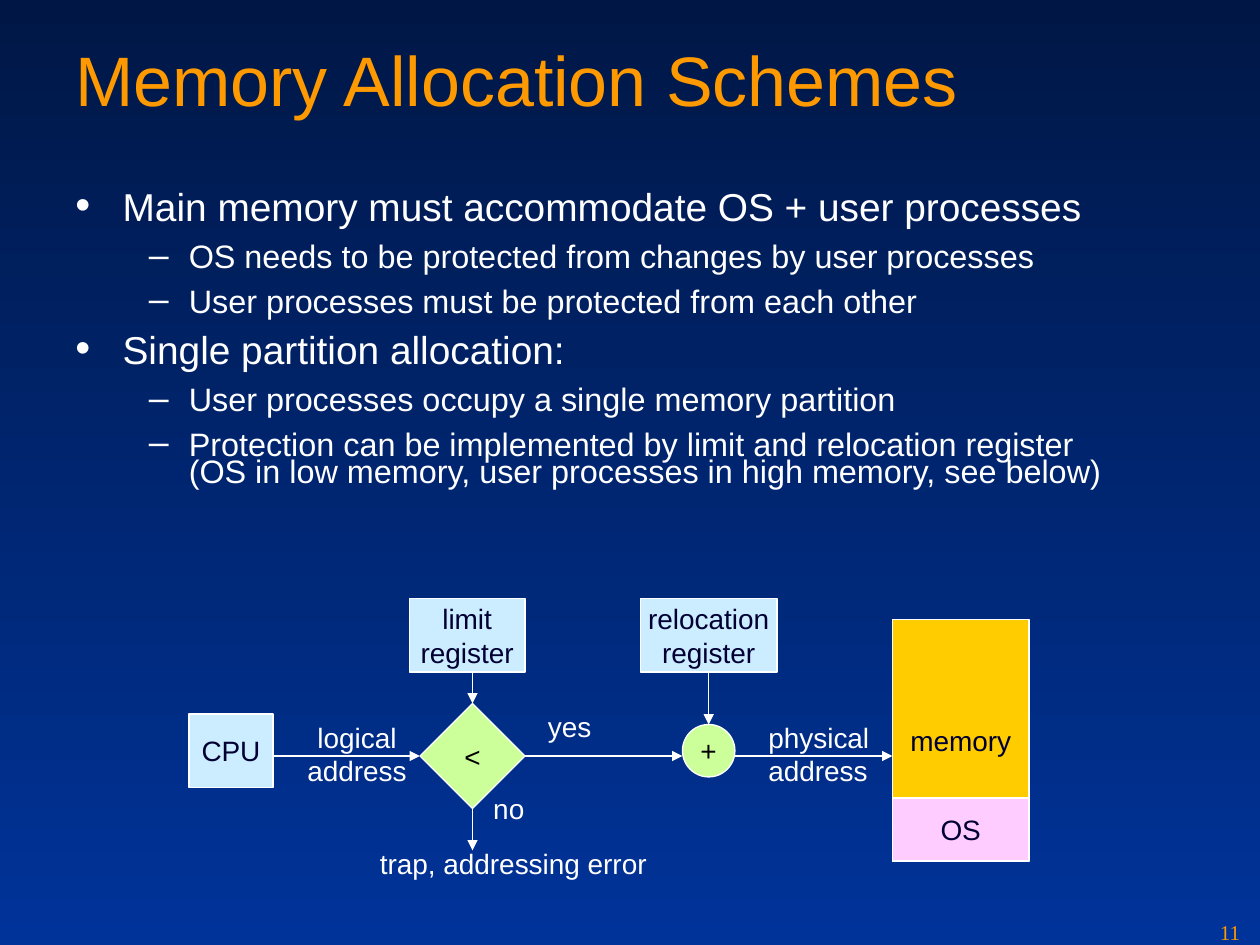
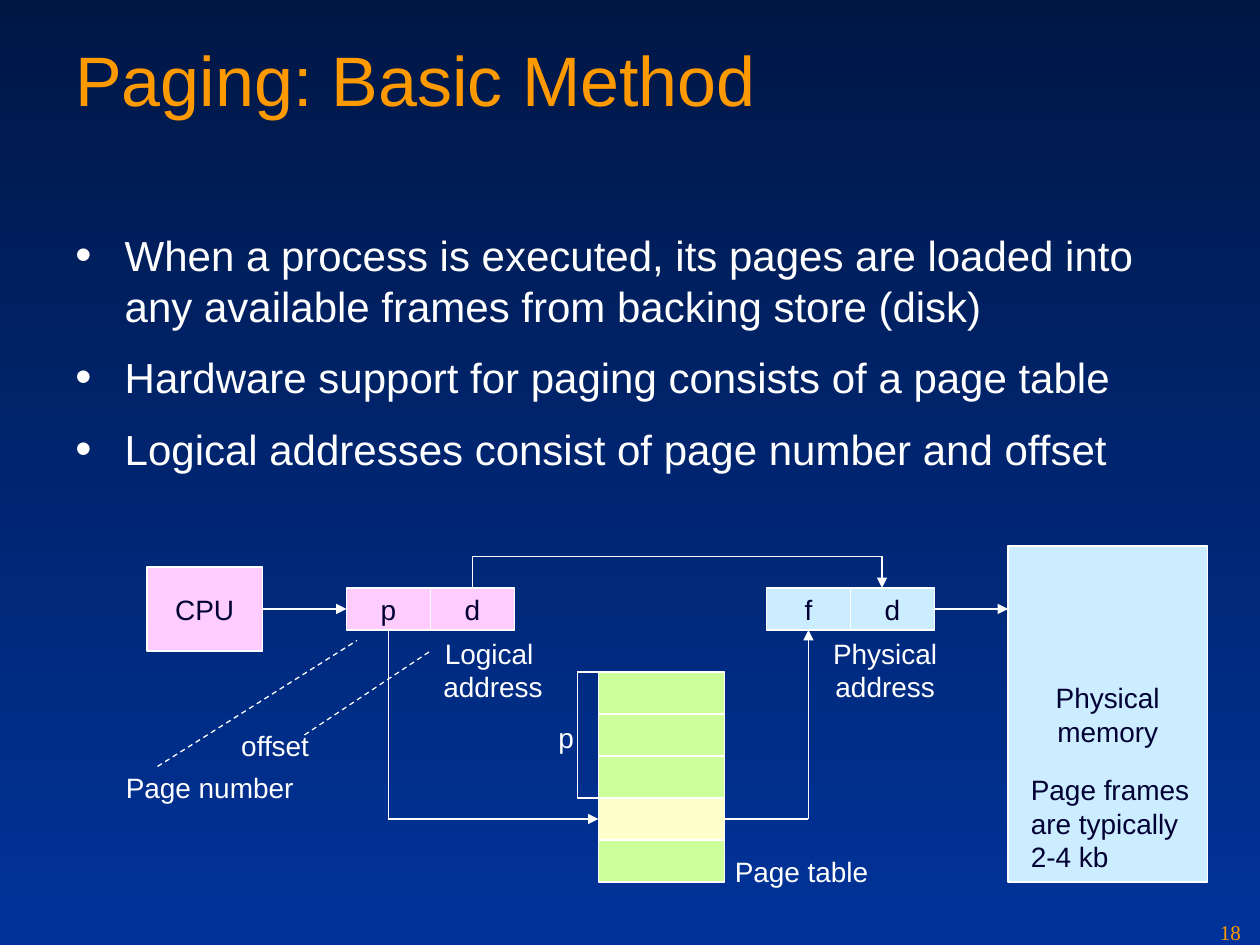
from dataclasses import dataclass
from itertools import pairwise
from typing import Any

from lxml import etree
from pptx import Presentation, util as u
from pptx.dml.color import RGBColor
from pptx.enum import dml, shapes, text
from pptx.oxml import ns

SCALE = 7620  # EMU per px, 120 px to the inch
NAVY, BLUE = "001746", "003399"
ORANGE, WHITE, BLACK, INK = "FE9900", "FFFFFF", "000000", "000033"
SKY, PINK, LIME, GOLD, CREAM = "CCECFF", "FFCCFF", "CCFF99", "FFCC00", "FFFFCC"
SANS, SERIF = "Arial", "Times New Roman"
SHAPE, ALIGN = shapes.MSO_SHAPE, text.PP_ALIGN


def px(*lengths):
    return [u.Emu(length * SCALE) for length in lengths]


def color(value):
    return RGBColor.from_string(value)


def add_element(parent, tag, **attributes):
    return etree.SubElement(parent, ns.qn(tag), attributes)


def write(para, words, size, ink, face=SANS):
    """Add one run per line, with line breaks between them."""
    for number, line in enumerate(words.split("\n")):
        if number:
            para.add_line_break()
        span = para.add_run()
        span.text = line
        span.font.size = u.Pt(size)
        span.font.name = face
        span.font.color.rgb = color(ink)


def add_text_box(page, left, top, width, height):
    box = page.shapes.add_textbox(*px(left, top, width, height))
    box.text_frame.word_wrap = True
    return box.text_frame


# Shared page parts
def add_page(deck, title, number):
    page = deck.slides.add_slide(deck.slide_layouts[6])
    fill = page.background.fill
    fill.gradient()
    fill.gradient_angle = 270
    for stop, position, shade in zip(fill.gradient_stops, (0, 1), (NAVY, BLUE)):
        stop.position = position
        stop.color.rgb = color(shade)
    write(add_text_box(page, 60, 29, 1080, 150).paragraphs[0], title, 40, ORANGE)
    footer = add_text_box(page, 1150, 870, 50, 30)
    write(footer.paragraphs[0], str(number), 12, ORANGE, SERIF)
    return page


@dataclass
class Level:
    bullet: str
    size: float
    margin: int
    hang: int
    gap: int
    spacing: float = 1.0


def add_bullets(page, box, items):
    frame = add_text_box(page, *box)
    for number, (level, words) in enumerate(items):
        para = frame.add_paragraph() if number else frame.paragraphs[0]
        para.line_spacing = level.spacing
        para.space_before = u.Pt(level.gap if number else 0)
        para.space_after = u.Pt(level.gap)
        props = para._p.get_or_add_pPr()
        props.set("marL", str(level.margin * SCALE))
        props.set("indent", str(-level.hang * SCALE))
        add_element(props, "a:buSzPct", val="110000")
        add_element(props, "a:buFont", typeface=SANS)
        add_element(props, "a:buChar", char=level.bullet)
        write(para, words, level.size, WHITE)


@dataclass
class Diagram:
    """Drawing area whose parts are placed from its top left corner."""
    page: Any
    left: int
    top: int

    def node(self, left, top, width, height, fill, words="", kind=SHAPE.RECTANGLE, ink=INK):
        shape = self.page.shapes.add_shape(
            kind, *px(self.left + left, self.top + top, width, height))
        shape.shadow.inherit = False
        shape.fill.solid()
        shape.fill.fore_color.rgb = color(fill)
        shape.line.color.rgb = color(WHITE)
        shape.line.width = u.Pt(0.75)
        if words:
            frame = shape.text_frame
            frame.word_wrap = False
            frame.vertical_anchor = text.MSO_ANCHOR.MIDDLE
            frame.paragraphs[0].alignment = ALIGN.CENTER
            write(frame.paragraphs[0], words, 16, ink)

    def label(self, left, top, width, words, align=ALIGN.LEFT, ink=WHITE):
        height = 12 + 32 * len(words.split("\n"))
        frame = add_text_box(self.page, self.left + left, self.top + top, width, height)
        frame.paragraphs[0].alignment = align
        write(frame.paragraphs[0], words, 16, ink)

    def wire(self, *points, arrow=True, dashed=False):
        """Join the points with straight lines, the last one with an arrowhead."""
        for start, end in pairwise(points):
            line = self.page.shapes.add_connector(
                shapes.MSO_CONNECTOR.STRAIGHT,
                *px(self.left + start[0], self.top + start[1],
                    self.left + end[0], self.top + end[1]))
            line.line.color.rgb = color(WHITE)
            line.line.width = u.Pt(0.75)
            if dashed:
                line.line.dash_style = dml.MSO_LINE.DASH
            if arrow and end == points[-1]:
                add_element(line.line._get_or_add_ln(), "a:tailEnd", type="triangle")
            add_element(line._element.spPr, "a:effectLst")


def draw_relocation(page, left, top):
    area = Diagram(page, left, top)
    axis, limit_x, adder_x = 150, 270, 495

    # Registers, tests and memory
    area.node(0, 110, 80, 70, SKY, "CPU")
    area.node(220, 100, 100, 100, LIME, "<", SHAPE.DIAMOND, BLACK)
    area.node(210, 0, 110, 70, SKY, "limit\nregister")
    area.node(430, 0, 130, 70, SKY, "relocation\nregister")
    area.node(470, 120, 50, 50, LIME, "+", SHAPE.OVAL, BLACK)
    area.node(670, 20, 130, 230, GOLD, "memory")
    area.node(670, 190, 130, 60, PINK, "OS")

    # Address flow, then the vertical arrows
    for start, end in ((80, 220), (320, 470), (520, 670)):
        area.wire((start, axis), (end, axis))
    for x, start, end in ((adder_x, 70, 120), (limit_x, 70, 100), (limit_x, 200, 240)):
        area.wire((x, start), (x, end))

    # Labels
    area.label(170, 230, 300, "trap, addressing error")
    area.label(80, 110, 160, "logical\naddress", ALIGN.CENTER)
    area.label(278, 178, 70, "no")
    area.label(330, 100, 80, "yes")
    area.label(540, 110, 130, "physical\naddress")


def draw_paging(page, left, top):
    area = Diagram(page, left, top)
    cell_w, cell_h = 80, 40
    table_x, table_y, entry = 470, 120, 3

    # CPU, addresses, page table and memory
    area.node(40, 20, 110, 80, PINK, "CPU")
    for address_x, fill, letters in ((230, PINK, "pd"), (630, SKY, "fd")):
        for column, letter in enumerate(letters):
            area.node(address_x + column * cell_w, 40, cell_w, cell_h, fill, letter)
    for row in range(5):
        area.node(table_x, table_y + row * cell_h, 120, cell_h,
                  CREAM if row == entry else LIME)
    area.node(860, 0, 190, 320, SKY, "Physical\nmemory")

    # Address flow
    area.wire((150, 60), (230, 60))
    area.wire((270, 80), (270, 260), (table_x, 260))
    area.wire((590, 260), (670, 260), (670, 80))
    area.wire((790, 60), (860, 60))
    area.wire((350, 40), (350, 10), (740, 10), (740, 40))

    # Bracket over the skipped entries, and dashed leaders
    entry_y = table_y + entry * cell_h
    area.wire((table_x, table_y), (450, table_y), (450, entry_y), (table_x, entry_y),
              arrow=False)
    area.wire((50, 210), (240, 90), arrow=False, dashed=True)
    area.wire((190, 180), (310, 100), arrow=False, dashed=True)

    # Labels
    area.label(300, 80, 139, "Logical \naddress", ALIGN.CENTER)
    area.label(673, 80, 140, "Physical\naddress", ALIGN.CENTER)
    area.label(420, 160, 50, "p")
    area.label(588, 288, 170, "Page table")
    area.label(8, 208, 200, "Page number")
    area.label(118, 168, 110, "offset")
    area.label(870, 210, 180, "Page frames\nare typically\n2-4 kb", ink=INK)


def build_allocation(deck):
    page = add_page(deck, "Memory Allocation Schemes", 11)
    topic = Level("•", 22.2, 45, 45, 6, 0.7)
    detail = Level("–", 18.5, 108, 38, 5, 0.7)
    add_bullets(page, (60, 180, 1070, 310), [
        (topic, "Main memory must accommodate OS + user processes"),
        (detail, "OS needs to be protected from changes by user processes"),
        (detail, "User processes must be protected from each other"),
        (topic, "Single partition allocation:"),
        (detail, "User processes occupy a single memory partition"),
        (detail, "Protection can be implemented by limit and relocation register\n"
                 "(OS in low memory, user processes in high memory, see below)"),
    ])
    draw_relocation(page, 180, 570)


def build_paging(deck):
    page = add_page(deck, "Paging: Basic Method", 18)
    topic = Level("•", 24, 47, 47, 6)
    add_bullets(page, (60, 213, 1080, 264), [
        (topic, "When a process is executed, its pages are loaded into "
                "any available frames from backing store (disk)"),
        (topic, "Hardware support for paging consists of a page table"),
        (topic, "Logical addresses consist of page number and offset"),
    ])
    draw_paging(page, 100, 520)


def main():
    deck = Presentation()
    deck.slide_width, deck.slide_height = px(1200, 900)
    build_allocation(deck)
    build_paging(deck)
    deck.save("out.pptx")


if __name__ == "__main__":
    main()
